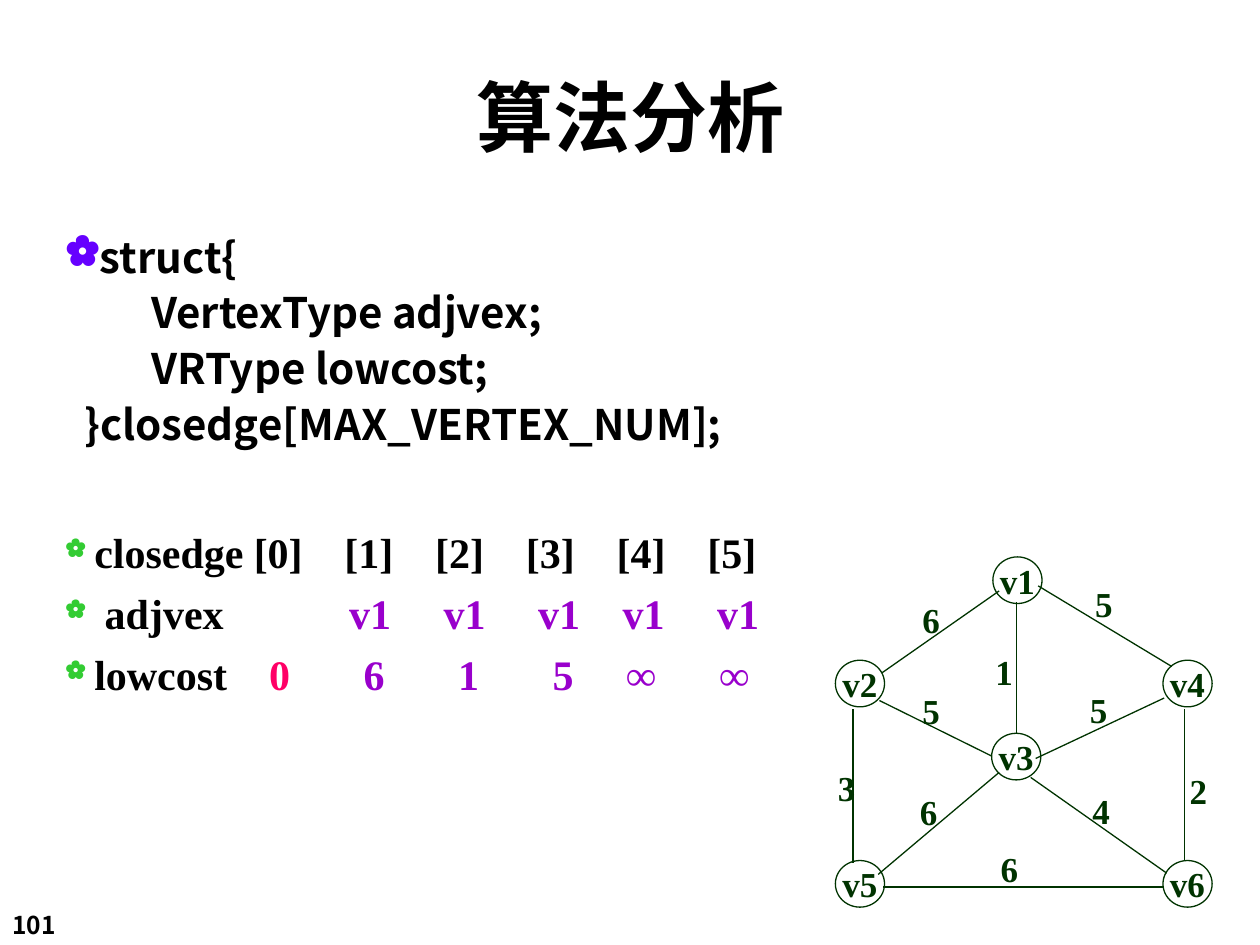
from lxml.etree import SubElement
from pptx import Presentation
from pptx.dml.color import RGBColor
from pptx.enum.shapes import MSO_CONNECTOR, MSO_SHAPE
from pptx.enum.text import MSO_ANCHOR, PP_ALIGN
from pptx.oxml.ns import qn
from pptx.util import Inches, Pt

BLACK = RGBColor(0, 0, 0)
GREEN = RGBColor(0, 0x33, 0)
PURPLE = RGBColor(0x99, 0, 0xCC)
PINK = RGBColor(0xFF, 0, 0x66)
VIOLET = RGBColor(0x66, 0, 0xFF)
LIME = RGBColor(0x33, 0xCC, 0x33)
SANS, SERIF = "Noto Sans CJK SC", "Times New Roman"
COLS, ROWS = 100, 75


class Board:
    """Style and current slide; lengths are grid columns and rows."""

    def __init__(self, deck):
        self.slide = deck.slides.add_slide(deck.slide_layouts[6])
        self.shapes = self.slide.shapes
        self.col = deck.slide_width / COLS
        self.row = deck.slide_height / ROWS

    def place(self, x, y, w, h):
        return [round(v) for v in (x * self.col, y * self.row,
                                   w * self.col, h * self.row)]

    def style(self, par, size, font, color):
        par.font.size, par.font.bold = Pt(size), True
        par.font.name = font
        par.font.color.rgb = color

    def fill(self, shape, text, size, font, color, align=PP_ALIGN.CENTER):
        frame = shape.text_frame
        frame.word_wrap = False
        frame.vertical_anchor = MSO_ANCHOR.MIDDLE
        par = frame.paragraphs[0]
        par.text, par.alignment = text, align
        self.style(par, size, font, color)

    def label(self, box, text, size, font, color, align=PP_ALIGN.CENTER):
        shape = self.shapes.add_textbox(*self.place(*box))
        self.fill(shape, text, size, font, color, align)

    def node(self, x, y, text):
        oval = self.shapes.add_shape(MSO_SHAPE.OVAL,
                                     *self.place(x, y, 3.9, 3.7))
        oval.shadow.inherit = False
        oval.fill.background()
        oval.line.color.rgb, oval.line.width = GREEN, Pt(0.75)
        self.fill(oval, text, 20, SERIF, GREEN)

    def edge(self, start, end):
        line = self.shapes.add_connector(MSO_CONNECTOR.STRAIGHT,
                                         *self.place(*start, *end))
        line.line.color.rgb, line.line.width = GREEN, Pt(0.75)
        SubElement(line._element.spPr, qn("a:effectLst"))

    def body(self, box):
        frame = self.shapes.add_textbox(*self.place(*box)).text_frame
        frame.word_wrap = True
        return frame

    def bullet(self, par, color, share=100):
        props = par._p.get_or_add_pPr()
        props.set("marL", str(Inches(0.23)))
        props.set("indent", str(-Inches(0.23)))
        tint = SubElement(props, qn("a:buClr"))
        SubElement(tint, qn("a:srgbClr"), val=str(color))
        SubElement(props, qn("a:buSzPct"), val=str(share * 1000))
        SubElement(props, qn("a:buChar"), char="✿")

    def stops(self, par, spots):
        tabs = SubElement(par._p.get_or_add_pPr(), qn("a:tabLst"))
        for spot in spots:
            SubElement(tabs, qn("a:tab"), pos=str(Inches(spot)), algn="ctr")


CODE = ["struct{", "         VertexType adjvex;",
        "         VRType lowcost;", "  }closedge[MAX_VERTEX_NUM];"]

# Runs of each array row, with the centres of its columns in inches
ARRAY = [
    ([("closedge\t[0]\t[1]\t[2]\t[3]\t[4]\t[5]", BLACK)],
     [1.69 + 0.72 * i for i in range(6)]),
    ([(" adjvex", BLACK), ("\tv1" * 5, PURPLE)],
     [2.42, 3.17, 3.92, 4.59, 5.34]),
    ([("lowcost", BLACK), ("\t0", PINK), ("\t6\t1\t5\t∞\t∞", PURPLE)],
     [1.7, 2.45, 3.2, 3.95, 4.57, 5.31]),
]

NODES = {"v1": (78.8, 44.2), "v6": (92.3, 68.3), "v5": (66.3, 68.3),
         "v4": (92.3, 52.4), "v3": (78.7, 58.2), "v2": (66.3, 52.4)}

# Start, end, weight and corner of the weight label
EDGES = [
    ((80.7, 47.8), (80.7, 58.2), "1", (78, 51.1)),
    ((79.3, 46.9), (70, 53.4), "6", (72.2, 47)),
    ((67.7, 56.3), (67.7, 68.5), "3", (65.5, 60.3)),
    ((94, 56.3), (94, 68.3), "2", (93.4, 60.5)),
    ((70.1, 70.4), (92.4, 70.4), "6", (78.4, 66.7)),
    ((82.4, 46.5), (93, 52.9), "5", (85.9, 45.7)),
    ((69.8, 55.6), (78.7, 60), "5", (72.2, 54.2)),
    ((92.4, 55.4), (82.2, 60.2), "5", (85.5, 54.1)),
    ((79.3, 61.3), (69.7, 69.4), "6", (72, 62.2)),
    ((81.8, 61.7), (92.6, 69.3), "4", (85.7, 62.1)),
]


def main():
    deck = Presentation()
    deck.slide_width, deck.slide_height = Inches(10), Inches(7.5)
    board = Board(deck)

    # Page number and title
    board.label((0, 71.7, 8.3, 3.4), "101", 14, SANS, BLACK, PP_ALIGN.LEFT)
    board.label((4.2, 4.2, 91.7, 10), "算法分析", 44, SANS, BLACK)

    # Struct code
    frame = board.body((4.2, 18.3, 91.7, 44.2))
    for i, text in enumerate(CODE):
        par = frame.add_paragraph() if i else frame.paragraphs[0]
        par.text, par.line_spacing = text, 0.9
        if i:
            par.space_before = Pt(6)
        else:
            board.bullet(par, VIOLET)
        board.style(par, 24, SANS, BLACK)

    # Array rows
    for i, (runs, spots) in enumerate(ARRAY):
        par = frame.add_paragraph()
        par.space_before = Pt(6 if i else 44)
        board.bullet(par, LIME, 60)
        board.stops(par, spots)
        board.style(par, 24, SERIF, BLACK)
        for text, color in runs:
            run = par.add_run()
            run.text, run.font.color.rgb = text, color

    # Weighted graph
    for name, (x, y) in NODES.items():
        board.node(x, y, name)
    for start, end, weight, spot in EDGES:
        board.edge(start, end)
        board.label((*spot, 3.4, 4.4), weight, 20, SERIF, GREEN)

    deck.save("out.pptx")


if __name__ == "__main__":
    main()
